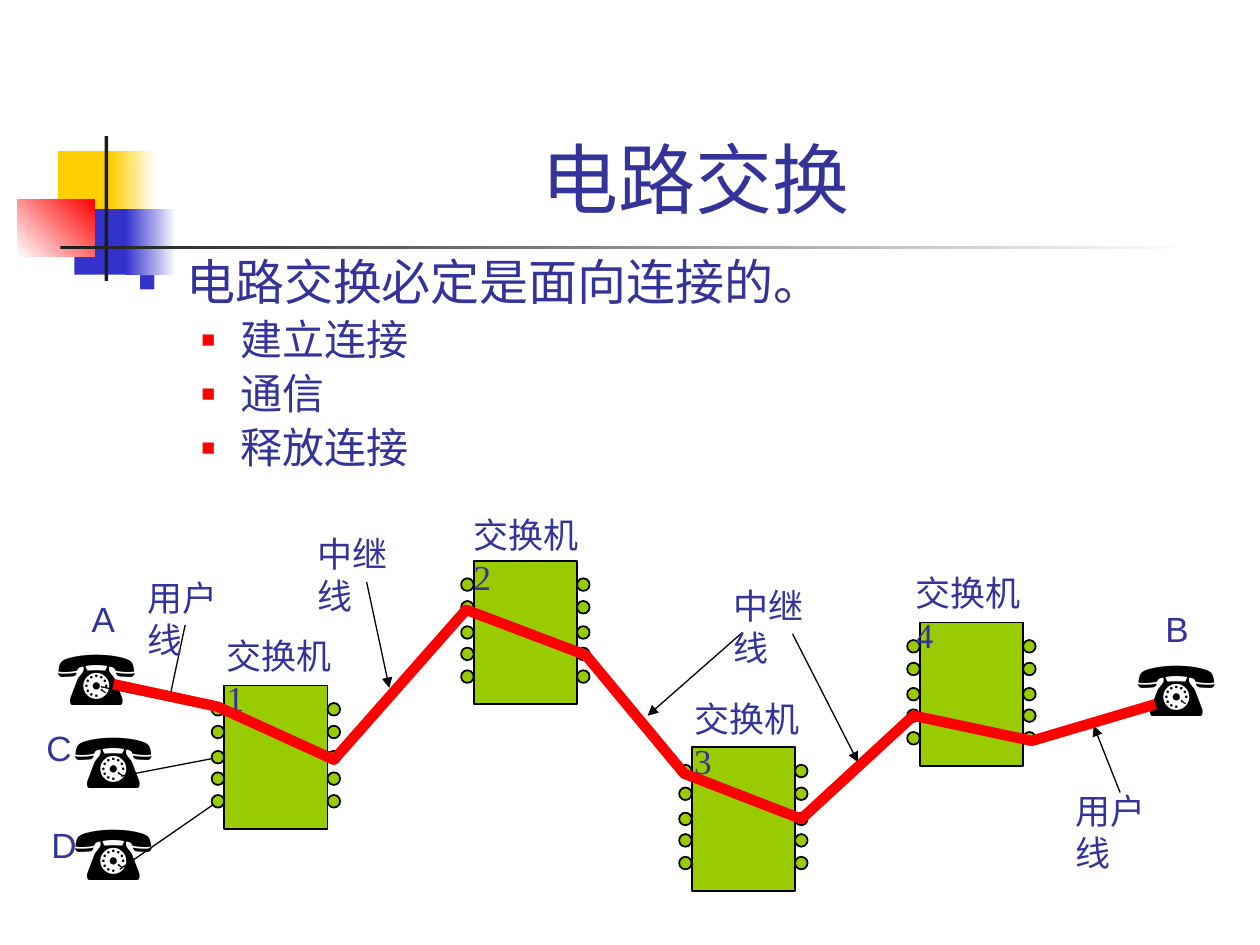
from lxml import etree
from pptx import Presentation
from pptx import util as u
from pptx.dml import color
from pptx.enum import shapes, text
from pptx.oxml import ns

colors = {"ink": "333399", "black": "000000", "white": "FFFFFF", "yellow": "FFCF01",
          "blue": "3333CC", "red": "FF0000", "dark": "1C1C1C", "green": "99CC00"}
rgb = {name: color.RGBColor.from_string(value) for name, value in colors.items()}

presentation = Presentation()
presentation.slide_width = u.Inches(10)
presentation.slide_height = u.Inches(7.5)
slide = presentation.slides.add_slide(presentation.slide_layouts[5])


def add_text(paragraph, words, size, font, fill="ink"):
    run = paragraph.add_run()
    run.text = words
    run.font.size = u.Pt(size)
    run.font.name = font
    run.font.color.rgb = rgb[fill]


def add_polyline(points, line, width):
    corners = [(u.Inches(x), u.Inches(y)) for x, y in points]
    builder = slide.shapes.build_freeform(*corners[0])
    builder.add_line_segments(corners[1:], close=False)
    shape = builder.convert_to_shape()
    shape.shadow.inherit = False
    shape.fill.background()
    shape.line.color.rgb = rgb[line]
    shape.line.width = u.Pt(width)


decorations = [
    (0.46, 1.2, 0.48, 0.52, ["yellow"], 0),
    (0.88, 1.2, 0.36, 0.52, ["yellow", "white"], 0),
    (0.59, 1.66, 0.46, 0.52, ["blue"], 0),
    (1, 1.66, 0.4, 0.52, ["blue", "white"], 0),
    (0.14, 1.58, 0.61, 0.46, ["white", "red"], 45),
    (0.83, 1.08, 0.03, 1.15, ["dark"], 0),
    (0.48, 1.95, 9, 0.03, ["dark", "white"], 0),
]
for left, top, width, height, fills, angle in decorations:
    shape = slide.shapes.add_shape(shapes.MSO_SHAPE.RECTANGLE, u.Inches(left), u.Inches(top),
                                   u.Inches(width), u.Inches(height))
    shape.shadow.inherit = False
    shape.line.fill.background()
    if len(fills) == 1:
        shape.fill.solid()
        shape.fill.fore_color.rgb = rgb[fills[0]]
    else:
        shape.fill.gradient()
        shape.fill.gradient_angle = angle
        for stop, fill in zip(shape.fill.gradient_stops, fills):
            stop.color.rgb = rgb[fill]

title = slide.shapes.title
title.left, title.top = u.Inches(1.26), u.Inches(0.23)
title.width, title.height = u.Inches(8.52), u.Inches(1.6)
title.text_frame.vertical_anchor = text.MSO_ANCHOR.BOTTOM
title.text_frame.paragraphs[0].alignment = text.PP_ALIGN.CENTER
add_text(title.text_frame.paragraphs[0], "电路交换", 44, "Arial")

body = slide.shapes.add_textbox(u.Inches(1), u.Inches(2), u.Inches(8.5), u.Inches(1.81))
body.text_frame.word_wrap = True
points = [("电路交换必定是面向连接的。", 0), ("建立连接", 1), ("通信", 1), ("释放连接", 1)]
levels = [(28, "Arial", 0.38, -0.38, "blue", 60), (24, "Cabin", 0.81, -0.31, "red", 55)]
for index, (words, level) in enumerate(points):
    size, font, margin, indent, bullet, percent = levels[level]
    paragraph = body.text_frame.add_paragraph() if index else body.text_frame.paragraphs[0]
    paragraph.level = level
    paragraph.line_spacing = 0.9
    paragraph.space_before = u.Pt(size * 0.2)
    add_text(paragraph, words, size, font)
    properties = paragraph._p.get_or_add_pPr()
    properties.set("marL", str(u.Inches(margin)))
    properties.set("indent", str(u.Inches(indent)))
    bullet_color = etree.SubElement(properties, ns.qn("a:buClr"))
    etree.SubElement(bullet_color, ns.qn("a:srgbClr"), val=colors[bullet])
    etree.SubElement(properties, ns.qn("a:buSzPct"), val=str(percent * 1000))
    etree.SubElement(properties, ns.qn("a:buFont"), typeface="Arial")
    etree.SubElement(properties, ns.qn("a:buChar"), char="■")

add_polyline([(1.76, 6.01), (1.84, 6.02), (1.91, 6.05), (1.96, 6.11), (1.97, 6.2),
              (1.92, 6.29), (1.83, 6.34), (1.74, 6.36)], "black", 3)
add_polyline([(1.71, 5.63), (2.67, 6.01), (3.72, 4.84), (4.65, 5.2), (5.43, 6.12),
              (6.37, 6.51), (7.26, 5.69), (8.2, 5.89)], "black", 3)

subscriber_lines = [(0.95, 6.9, 1.73, 6.36), (0.96, 6.16, 1.74, 6.01),
                    (8.17, 5.89, 9.19, 5.58), (0.8, 5.45, 1.73, 5.64)]
pointers = [(1.47, 4.96, 1.34, 5.57), (8.89, 6.29, 8.68, 5.76), (5.88, 5.03, 5.14, 5.68),
            (6.29, 5.03, 6.81, 6.05), (2.91, 4.62, 3.09, 5.46)]
for ends in subscriber_lines + pointers:
    connector = slide.shapes.add_connector(shapes.MSO_CONNECTOR.STRAIGHT,
                                           *[u.Inches(value) for value in ends])
    connector.line.color.rgb = rgb["black"]
    connector.line.width = u.Pt(0.75)
    if ends in pointers:
        etree.SubElement(connector.line._get_or_add_ln(), ns.qn("a:tailEnd"), type="triangle")
    etree.SubElement(connector._element.spPr, ns.qn("a:effectLst"))

switch_width, switch_height, port = 0.82, 1.14, 0.1
for left, top in [(1.78, 5.44), (3.76, 4.45), (5.49, 5.93), (7.3, 4.94)]:
    parts = [(shapes.MSO_SHAPE.RECTANGLE, left, top, switch_width, switch_height)]
    for port_left in (left - port, left + switch_width):
        for offset in (0.14, 0.32, 0.52, 0.69, 0.87):
            parts.append((shapes.MSO_SHAPE.OVAL, port_left, top + offset, port, port))
    for kind, *box in parts:
        shape = slide.shapes.add_shape(kind, *[u.Inches(value) for value in box])
        shape.shadow.inherit = False
        shape.fill.solid()
        shape.fill.fore_color.rgb = rgb["green"]
        shape.line.color.rgb = rgb["black"]
        shape.line.width = u.Pt(1)

label_styles = {
    "phone": (0.86, 0.83, 44, "Arial", "black", False),
    "switch": (1.15, 0.43, 20, "Times New Roman", "ink", True),
    "line": (1.03, 0.43, 20, "Times New Roman", "ink", False),
    "letter": (0.4, 0.43, 20, "Arial", "ink", False),
}
labels = [
    ("phone", "☎", 0.36, 4.94), ("phone", "☎", 8.93, 5.03),
    ("phone", "☎", 0.49, 5.6), ("phone", "☎", 0.49, 6.33),
    ("switch", "交换机1", 1.7, 4.99), ("switch", "交换机2", 3.66, 4.03),
    ("switch", "交换机3", 5.41, 5.49), ("switch", "交换机4", 7.17, 4.49),
    ("line", "用户线", 1.07, 4.53), ("line", "用户线", 8.44, 6.22),
    ("line", "中继线", 5.72, 4.59), ("line", "中继线", 2.42, 4.18),
    ("letter", "B", 9.15, 4.77), ("letter", "D", 0.31, 6.49),
    ("letter", "C", 0.27, 5.72), ("letter", "A", 0.63, 4.69),
]
for style, words, left, top in labels:
    width, height, size, font, fill, wrap = label_styles[style]
    box = slide.shapes.add_textbox(u.Inches(left), u.Inches(top), u.Inches(width), u.Inches(height))
    box.text_frame.word_wrap = wrap
    add_text(box.text_frame.paragraphs[0], words, size, font, fill)

add_polyline([(0.9, 5.43), (1.73, 5.61), (2.65, 6.03), (3.7, 4.84), (4.65, 5.2),
              (5.43, 6.14), (6.36, 6.5), (7.25, 5.68), (8.19, 5.88), (9.17, 5.59)], "red", 6)

presentation.save("out.pptx")
